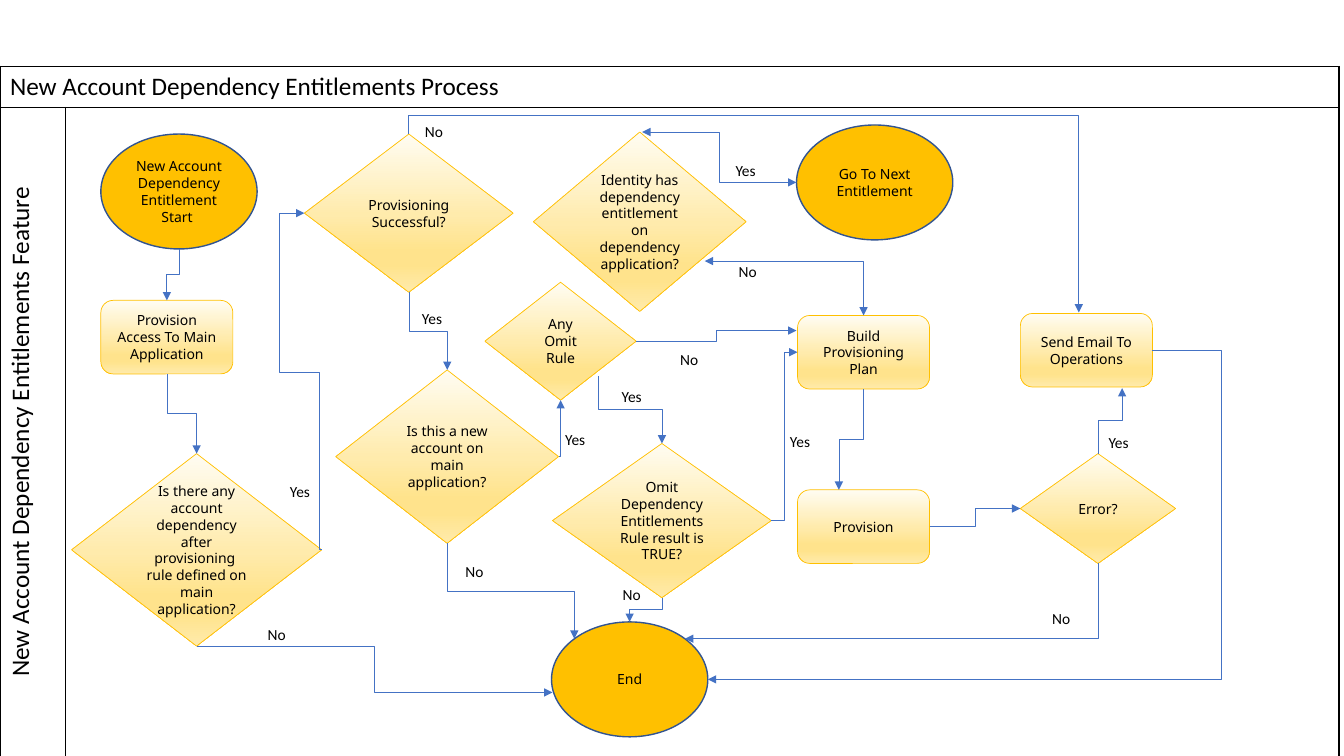
import lxml.etree
import pptx
import pptx.dml.color
import pptx.enum.shapes
import pptx.enum.text
import pptx.oxml.ns
import pptx.util

# ---- Content: positions in inches ----
SLIDE = (13.33, 7.5)
TITLE = "New Account Dependency Entitlements Process"
LANE = "New Account Dependency Entitlements Feature"
TABLE_AT, TABLE_COLS, TABLE_ROWS = (0, 0.66), (0.65, 12.63), (0.25, 6.44)

CIRCLE, BOX = (1.55, 1.14), (1.31, 0.73)
# key: (kind, left, top, size, text)
STEPS = {
    "start": ("ellipse", 1, 1.33, CIRCLE, "New Account\nDependency Entitlement Start "),
    "access": ("box", 1, 2.98, BOX, "Provision Access To Main Application"),
    "dependency": ("diamond", 0.71, 4.5, (2.48, 1.91),
                   "Is there any account dependency after provisioning  rule defined on main application?"),
    "success": ("diamond", 3.02, 1.33, (2.07, 1.57), "Provisioning Successful?"),
    "result": ("diamond", 5.48, 4.4, (2.17, 1.53), "Omit Dependency Entitlements Rule result is TRUE?"),
    "identity": ("diamond", 5.29, 1.31, (2.11, 1.78),
                 "Identity has dependency entitlement on dependency application?"),
    "next": ("ellipse", 7.9, 1.24, CIRCLE, "Go To Next Entitlement"),
    "build": ("box", 7.91, 3.13, BOX, "Build Provisioning Plan"),
    "error": ("diamond", 10.12, 4.5, (1.54, 1.09), "Error?"),
    "provision": ("box", 7.91, 4.86, BOX, "Provision"),
    "email": ("box", 10.12, 3.11, BOX, "Send Email To Operations"),
    "end": ("ellipse", 5.47, 6.17, CIRCLE, "End"),
    "new": ("diamond", 3.33, 3.67, (2.21, 1.72), "Is this a new account on main application?"),
    "omit": ("diamond", 4.81, 2.8, (1.5, 1.17), "Any Omit Rule"),
}
# (from, to, first direction, bends as shares of the way, both ends pointed)
# An end is a step with a side, or a free point.
ROUTES = [
    (("start", "bottom"), ("access", "top"), "v", (0.5,), False),
    (("access", "bottom"), ("dependency", "top"), "v", (0.5,), False),
    (("dependency", "right"), ("success", "left"), "h", (0.143, 0.526, 2.476), False),
    (("success", "bottom"), ("new", "top"), "v", (0.5,), False),
    (("new", "right"), ("omit", "bottom"), "h", (), False),
    (("error", "top"), (11.13, 3.85), "v", (0.5,), False),
    (("provision", "right"), ("error", "left"), "h", (0.5,), False),
    (("email", "right"), ("end", "right"), "h", (-0.155,), False),
    (("error", "bottom"), ("end", "top right"), "v", (), False),
    (("dependency", "bottom"), (5.48, 6.87), "h", (0.5,), False),
    (("new", "bottom"), ("end", "top left"), "v", (0.5,), False),
    (("success", "top"), (10.7, 3.1), "v", (-0.105, 1), False),
    (("result", "bottom"), ("end", "top"), "v", (0.5,), False),
    ((6.37, 1.31), ("next", "left"), "h", (0.5,), True),
    (("result", "right"), ("build", "left"), "h", (0.5,), False),
    (("build", "bottom"), (8.32, 4.86), "v", (0.5,), False),
    (("omit", "right"), (7.9, 3.28), "h", (0.5,), False),
    ((5.93, 3.73), ("result", "top"), "v", (0.5,), False),
    ((6.99, 2.59), ("build", "top"), "h", (), True),
]
LABEL_SIZE = (0.45, 0.35)
ANSWERS = {
    "Yes": [(5.48, 4.18), (2.75, 4.7), (4.06, 2.98), (10.87, 4.21), (6.04, 3.76),
            (7.71, 4.2), (7.17, 1.51)],
    "No": [(2.52, 6.12), (10.3, 5.96), (6.04, 5.72), (6.61, 3.39), (4.08, 1.13),
           (4.48, 5.49), (7.19, 2.52)],
}
THEME = {
    "text": "000000", "circle": "FFC000", "circle line": "325491", "step line": "FFC000",
    "route": "4472C4", "border": "000000",
    "gradient": [(0, "FFFCF2"), (51, "FFEBAC"), (74, "FFE38C"), (83, "FFE38C"),
                 (100, "FFEBAC"), (100, "FFECB2")],
    "heading": ("Calibri", 18), "step": ("Noto Sans", 10), "answer": ("Calibri", 11),
}
KINDS = pptx.enum.shapes.MSO_SHAPE
PRESETS = {"ellipse": KINDS.OVAL, "box": KINDS.ROUNDED_RECTANGLE, "diamond": KINDS.DIAMOND}
SIDES = {"top": (0.5, 0), "left": (0, 0.5), "bottom": (0.5, 1), "right": (1, 0.5),
         "top left": (0.146, 0.146), "top right": (0.854, 0.146)}
FOUR_SITES = {"top": 0, "left": 1, "bottom": 2, "right": 3}
EIGHT_SITES = {"top": 0, "top left": 1, "left": 2, "bottom": 4, "right": 6, "top right": 7}

inch, qn = pptx.util.Inches, pptx.oxml.ns.qn
CENTER, MIDDLE = pptx.enum.text.PP_ALIGN.CENTER, pptx.enum.text.MSO_ANCHOR.MIDDLE


def rgb(name):
    return pptx.dml.color.RGBColor.from_string(name)


def add(parent, tag, **attributes):
    return lxml.etree.SubElement(parent, qn(tag), {k: str(v) for k, v in attributes.items()})


def write(frame, text, style, align=CENTER):
    frame.text = text
    for paragraph in frame.paragraphs:
        paragraph.alignment = align
        for run in paragraph.runs:
            run.font.name, size = THEME[style]
            run.font.size = pptx.util.Pt(size)
            run.font.color.rgb = rgb(THEME["text"])


def add_lane_table(slide):
    width, height = sum(TABLE_COLS), sum(TABLE_ROWS)
    lanes = slide.shapes.add_table(2, 2, *map(inch, (*TABLE_AT, width, height))).table
    lanes.first_row = lanes.horz_banding = False
    for column, share in zip(lanes.columns, TABLE_COLS):
        column.width = inch(share)
    for row, share in zip(lanes.rows, TABLE_ROWS):
        row.height = inch(share)
    for cell in lanes.iter_cells():
        properties = cell._tc.get_or_add_tcPr()
        for side in ("a:lnL", "a:lnR", "a:lnT", "a:lnB"):
            border = add(properties, side, w=12700)
            add(add(border, "a:solidFill"), "a:srgbClr", val=THEME["border"])
        cell.fill.background()
    lanes.cell(0, 0).merge(lanes.cell(0, 1))
    write(lanes.cell(0, 0).text_frame, TITLE, "heading", None)
    write(lanes.cell(1, 0).text_frame, LANE, "heading")
    lanes.cell(1, 0)._tc.get_or_add_tcPr().set("vert", "vert270")


def add_step(slide, kind, left, top, size, text):
    step = slide.shapes.add_shape(PRESETS[kind], *map(inch, (left, top, *size)))
    step.shadow.inherit = False
    round_end = kind == "ellipse"
    if round_end:
        step.fill.solid()
        step.fill.fore_color.rgb = rgb(THEME["circle"])
    else:
        step.fill.gradient()
        step.fill.gradient_angle = 270
        stops = step._element.spPr.find(".//" + qn("a:gsLst"))
        stops.clear()
        for share, color in THEME["gradient"]:
            add(add(stops, "a:gs", pos=share * 1000), "a:srgbClr", val=color)
    step.line.color.rgb = rgb(THEME["circle line" if round_end else "step line"])
    step.line.width = pptx.util.Pt(1 if round_end else 0.5)
    step.text_frame.vertical_anchor = MIDDLE
    write(step.text_frame, text, "step")
    return step


def locate(end):
    if end[0] not in STEPS:
        return end
    _, left, top, (width, height), _ = STEPS[end[0]]
    across, down = SIDES[end[1]]
    return left + across * width, top + down * height


def join(connect, end, steps, connector, tag):
    if end[0] in STEPS:
        key, side = end
        connect(steps[key], FOUR_SITES.get(side, 0))
        if STEPS[key][0] == "ellipse":
            connector._element.find(".//" + qn(tag)).set("idx", str(EIGHT_SITES[side]))


def add_route(slide, steps, begin, finish, direction, bends, both):
    (x1, y1), (x2, y2) = locate(begin), locate(finish)
    route = slide.shapes.add_connector(pptx.enum.shapes.MSO_CONNECTOR.ELBOW,
                                       *map(inch, (x1, y1, x2, y2)))
    join(route.begin_connect, begin, steps, route, "a:stCxn")
    join(route.end_connect, finish, steps, route, "a:endCxn")
    # A route that leaves vertically is a turned box around the same centre
    dx, dy = x2 - x1, y2 - y1
    width, height, turn, flip_h, flip_v = abs(dx), abs(dy), 0, dx < 0, dy < 0
    if direction == "v":
        width, height = height, width
        turn, flip_h, flip_v = (270, True, False) if dx > 0 and dy > 0 else (90, dy < 0, dx > 0)
    route.left, route.top = inch((x1 + x2 - width) / 2), inch((y1 + y2 - height) / 2)
    route.width, route.height = inch(width), inch(height)
    properties = route._element.spPr
    frame = properties.find(qn("a:xfrm"))
    for name, value in (("rot", turn * 60000), ("flipH", int(flip_h)), ("flipV", int(flip_v))):
        frame.set(name, str(value))
    outline = properties.find(qn("a:prstGeom"))
    outline.set("prst", f"bentConnector{len(bends) + 2}")
    guides = outline.find(qn("a:avLst"))
    for number, share in enumerate(bends, 1):
        add(guides, "a:gd", name=f"adj{number}", fmla=f"val {round(share * 100000)}")
    # Line and arrowheads
    route.line.color.rgb = rgb(THEME["route"])
    route.line.width = pptx.util.Pt(0.5)
    line = properties.find(qn("a:ln"))
    if both:
        add(line, "a:headEnd", type="triangle")
    add(line, "a:tailEnd", type="triangle")
    add(properties, "a:effectLst")


def add_answer(slide, text, left, top):
    answer = slide.shapes.add_textbox(*map(inch, (left, top, *LABEL_SIZE))).text_frame
    answer.word_wrap = True
    answer.vertical_anchor = MIDDLE
    write(answer, text, "answer")


def main():
    deck = pptx.Presentation()
    deck.slide_width, deck.slide_height = map(inch, SLIDE)
    slide = deck.slides.add_slide(deck.slide_layouts[6])
    add_lane_table(slide)
    steps = {key: add_step(slide, *step) for key, step in STEPS.items()}
    for route in ROUTES:
        add_route(slide, steps, *route)
    for text, places in ANSWERS.items():
        for place in places:
            add_answer(slide, text, *place)
    deck.save("out.pptx")


if __name__ == "__main__":
    main()
